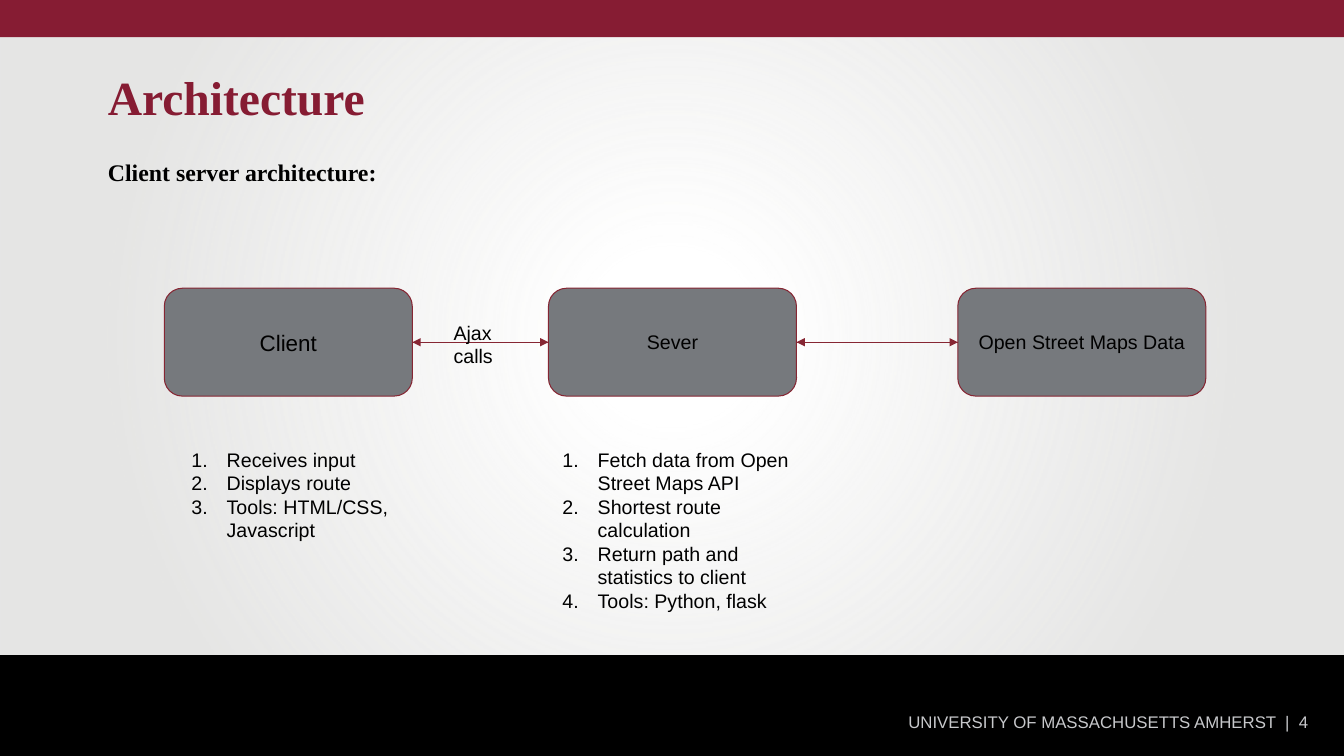
from typing import NamedTuple

from pptx import Presentation
from pptx.dml.color import RGBColor
from pptx.enum.shapes import MSO_CONNECTOR, MSO_SHAPE
from pptx.enum.text import MSO_ANCHOR, PP_ALIGN
from pptx.oxml import parse_xml
from pptx.oxml.ns import nsdecls, qn
from pptx.oxml.xmlchemy import OxmlElement
from pptx.util import Inches, Pt

MAROON = RGBColor(0x86, 0x1C, 0x33)
OUTLINE = RGBColor(0x86, 0x26, 0x33)
SLATE = RGBColor(0x76, 0x79, 0x7D)
SILVER = RGBColor(0xC7, 0xC8, 0xCB)
MIST = RGBColor(0xE5, 0xE5, 0xE4)
BLACK = RGBColor(0, 0, 0)

SLIDE_WIDTH, SLIDE_HEIGHT = 13.33, 7.5
NODE_TOP, NODE_WIDTH, NODE_HEIGHT = 2.86, 2.46, 1.07
DUTIES_TOP, DUTIES_WIDTH = 4.34, 2.67
LEFT_SIDE, RIGHT_SIDE = 1, 3
EVEN_INSETS = (0.1, 0.1, 0.1, 0.1)


class Node(NamedTuple):
    label: str
    left: float
    size: int


class Duties(NamedTuple):
    items: list[str]
    left: float
    height: float


NODES = [
    Node("Client", 1.63, 16),
    Node("Sever", 5.44, 14),
    Node("Open Street Maps Data", 9.5, 14),
]
DUTIES = [
    Duties(["Receives input", "Displays route", "Tools: HTML/CSS, Javascript"], 1.65, 1.14),
    Duties(["Fetch data from Open Street Maps API", "Shortest route calculation",
            "Return path and statistics to client", "Tools: Python, flask"], 5.33, 1.85),
]


def number_paragraph(paragraph) -> None:
    """Give a paragraph a hanging black number."""
    properties = paragraph._p.get_or_add_pPr()
    properties.set("marL", str(Inches(0.5)))
    properties.set("indent", str(Inches(-0.35)))
    properties.append(parse_xml(
        f'<a:buClr {nsdecls("a")}><a:srgbClr val="{BLACK}"/></a:buClr>'))
    properties.append(parse_xml(
        f'<a:buAutoNum {nsdecls("a")} type="arabicPeriod"/>'))


def write(shape, *lines: str, size: int = 14, font: str = "Arial",
          color: RGBColor = BLACK, bold: bool = False, numbered: bool = False,
          align=PP_ALIGN.LEFT, anchor=MSO_ANCHOR.TOP, spacing: float = 1.0,
          insets: tuple = EVEN_INSETS) -> None:
    frame = shape.text_frame
    frame.word_wrap = True
    frame.vertical_anchor = anchor
    (frame.margin_left, frame.margin_top,
     frame.margin_right, frame.margin_bottom) = map(Inches, insets)
    frame.text = "\n".join(lines)
    for paragraph in frame.paragraphs:
        paragraph.alignment = align
        paragraph.line_spacing = spacing
        if numbered:
            number_paragraph(paragraph)
        for run in paragraph.runs:
            run.font.size = Pt(size)
            run.font.name = font
            run.font.bold = bold
            run.font.color.rgb = color


def add_text(slide, left: float, top: float, width: float, height: float,
             *lines: str, **style) -> None:
    box = slide.shapes.add_textbox(*map(Inches, (left, top, width, height)))
    write(box, *lines, **style)


def add_band(slide, top: float, height: float, color: RGBColor):
    band = slide.shapes.add_shape(
        MSO_SHAPE.RECTANGLE, 0, Inches(top), Inches(SLIDE_WIDTH), Inches(height))
    band.shadow.inherit = False
    band.fill.solid()
    band.fill.fore_color.rgb = color
    band.line.fill.background()
    return band


def apply_glow(band) -> None:
    """Fade from a clear centre to an opaque edge."""
    stops = "".join(
        f'<a:gs pos="{position}000"><a:srgbClr val="{MIST}">'
        f'<a:alpha val="{opacity}000"/></a:srgbClr></a:gs>'
        for position, opacity in [(0, 0), (12, 0), (77, 100), (100, 100)])
    glow = parse_xml(
        f'<a:gradFill {nsdecls("a")} rotWithShape="1"><a:gsLst>{stops}</a:gsLst>'
        '<a:path path="circle"><a:fillToRect l="50000" t="50000" r="50000" b="50000"/>'
        '</a:path></a:gradFill>')
    properties = band._element.spPr
    properties.replace(properties.find(qn("a:solidFill")), glow)


def add_node(slide, node: Node):
    box = slide.shapes.add_shape(
        MSO_SHAPE.ROUNDED_RECTANGLE,
        *map(Inches, (node.left, NODE_TOP, NODE_WIDTH, NODE_HEIGHT)))
    box.shadow.inherit = False
    box.fill.solid()
    box.fill.fore_color.rgb = SLATE
    box.line.color.rgb = OUTLINE
    box.line.width = Pt(0.75)
    write(box, node.label, size=node.size, align=PP_ALIGN.CENTER,
          anchor=MSO_ANCHOR.MIDDLE)
    return box


def add_arrow(slide, source, source_side: int, target, target_side: int) -> None:
    arrow = slide.shapes.add_connector(MSO_CONNECTOR.STRAIGHT, 0, 0, 0, 0)
    arrow.begin_connect(source, source_side)
    arrow.end_connect(target, target_side)
    arrow.line.color.rgb = OUTLINE
    arrow.line.width = Pt(0.75)
    arrowhead = OxmlElement("a:tailEnd")
    arrowhead.set("type", "triangle")
    arrow.line._get_or_add_ln().append(arrowhead)
    arrow._element.spPr.append(OxmlElement("a:effectLst"))


def main() -> None:
    deck = Presentation()
    deck.slide_width, deck.slide_height = Inches(SLIDE_WIDTH), Inches(SLIDE_HEIGHT)
    slide = deck.slides.add_slide(deck.slide_layouts[6])

    # Backdrop and bands
    apply_glow(add_band(slide, 0.12, 6.45, MIST))
    add_band(slide, 6.5, 1, BLACK)
    add_band(slide, 0, 0.37, MAROON)

    # Footer, subtitle and title
    add_text(slide, 2.13, 6.93, 10.95, 0.38, "UNIVERSITY OF MASSACHUSETTS AMHERST  |  4",
             size=12, color=SILVER, align=PP_ALIGN.RIGHT, anchor=MSO_ANCHOR.BOTTOM,
             insets=(0.1, 0.05, 0.1, 0.05))
    add_text(slide, 0.67, 1.3, 6.69, 4.94, "Client server architecture:",
             size=17, font="Times New Roman", bold=True, align=PP_ALIGN.JUSTIFY,
             insets=(0.4, 0.26, 0.4, 0.05))
    add_text(slide, 0.67, 0.69, 11.5, 0.71, "Architecture",
             size=34, font="Times New Roman", color=MAROON, bold=True, spacing=0.9,
             insets=(0.4, 0.05, 0.4, 0.05))

    # Nodes, with an arrow each way between neighbours
    boxes = [add_node(slide, node) for node in NODES]
    for near, far in zip(boxes, boxes[1:]):
        add_arrow(slide, near, RIGHT_SIDE, far, LEFT_SIDE)
        add_arrow(slide, far, LEFT_SIDE, near, RIGHT_SIDE)
    add_text(slide, 4.4, 3.08, 0.73, 0.67, "Ajax calls")

    # Duties under the nodes
    for duties in DUTIES:
        add_text(slide, duties.left, DUTIES_TOP, DUTIES_WIDTH, duties.height,
                 *duties.items, numbered=True)

    deck.save("out.pptx")


if __name__ == "__main__":
    main()
